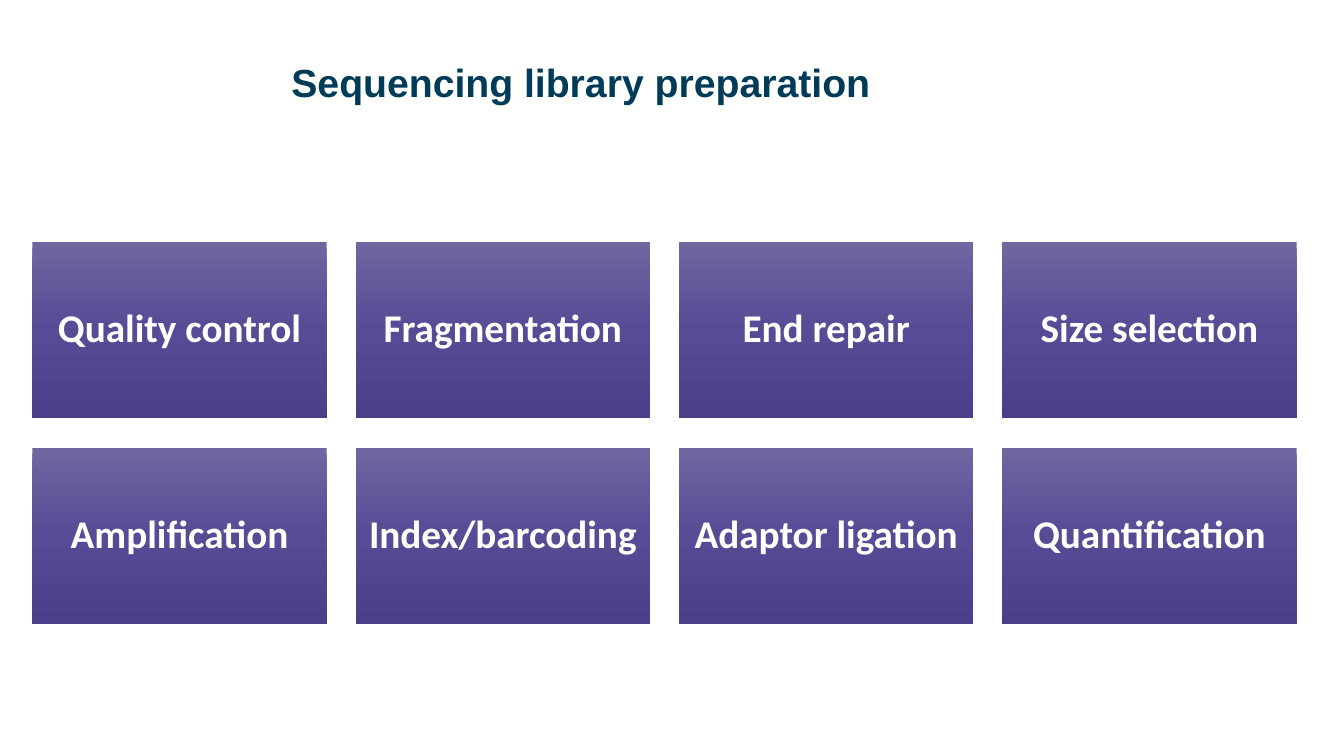
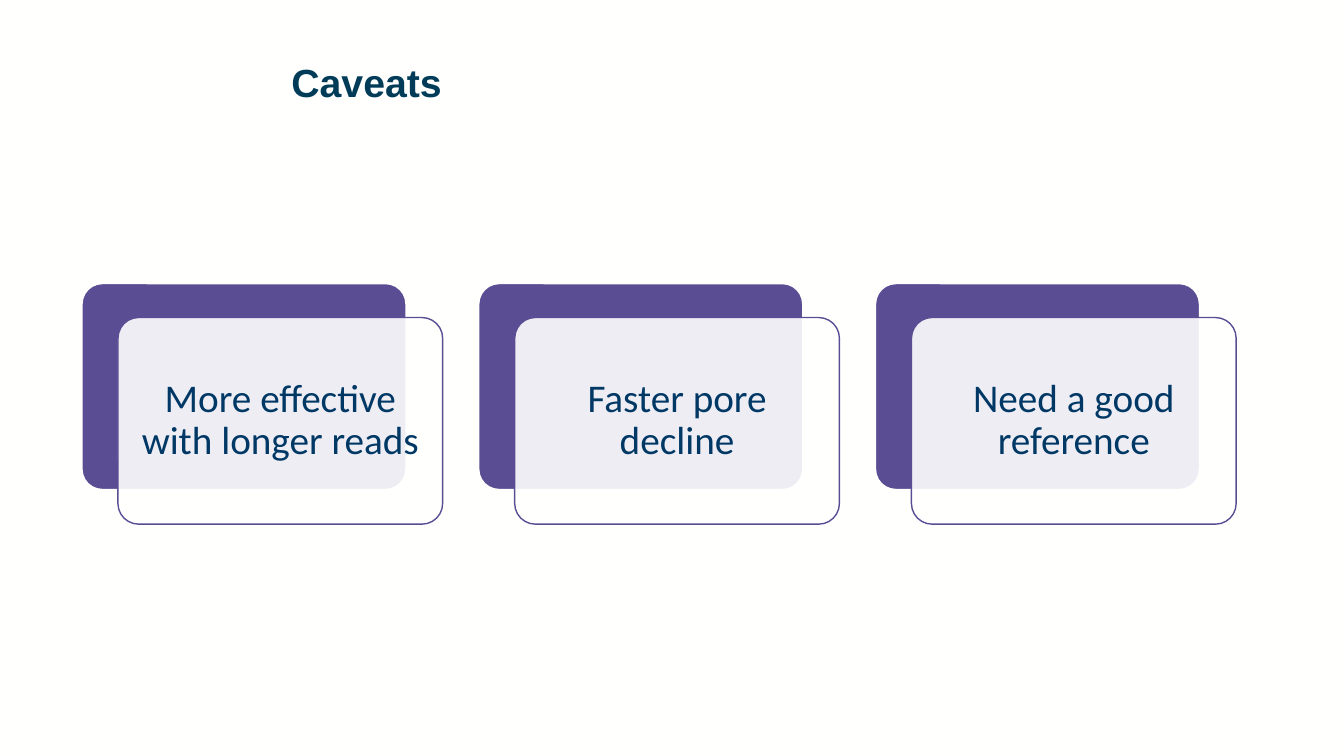
import copy
from dataclasses import dataclass
from typing import Any

import lxml.etree
import pptx
import pptx.dml.color
import pptx.enum.dml
import pptx.enum.shapes
import pptx.enum.text
import pptx.oxml.ns
import pptx.util

RGBColor = pptx.dml.color.RGBColor
Inches = pptx.util.Inches
Pt = pptx.util.Pt
Shape = pptx.enum.shapes.MSO_SHAPE
Anchor = pptx.enum.text.MSO_ANCHOR
Align = pptx.enum.text.PP_ALIGN
qn = pptx.oxml.ns.qn

IVORY = RGBColor(0xFF, 0xFF, 0xFE)
TITLE_NAVY = RGBColor(0x00, 0x3B, 0x58)
CARD_NAVY = RGBColor(0x00, 0x38, 0x65)
PURPLE = RGBColor(0x5B, 0x4D, 0x93)
TILE_STOPS = (
    (0, RGBColor(0x70, 0x66, 0xA0)),
    (0.5, RGBColor(0x59, 0x4A, 0x96)),
    (1, RGBColor(0x4D, 0x3E, 0x89)),
)

TITLE_FONT = {"name": "Arial", "size": Pt(28), "bold": True}
TILE_FONT = {"name": "Calibri", "size": Pt(28), "bold": True}
CARD_FONT = {"name": "Calibri", "size": Pt(28), "bold": False}
INSET = Inches(0.12)
LABEL_FRAME = {
    "word_wrap": True,
    "vertical_anchor": Anchor.MIDDLE,
    "margin_left": INSET,
    "margin_right": INSET,
    "margin_top": INSET,
    "margin_bottom": INSET,
}
TITLE_FRAME = {
    "word_wrap": True,
    "vertical_anchor": Anchor.TOP,
    "auto_size": pptx.enum.text.MSO_AUTO_SIZE.NONE,
}
TITLE_PLACE = {
    "left": Inches(2.79),
    "top": Inches(0.58),
    "width": Inches(10.07),
    "height": Inches(0.97),
}


@dataclass(frozen=True)
class Place:
    left: float
    top: float
    width: float
    height: float

    def shifted(self, across: float, down: float) -> "Place":
        return Place(self.left + across, self.top + down, self.width, self.height)


@dataclass(frozen=True)
class Grid:
    left: float
    top: float
    right: float
    columns: int
    cell_width: float
    cell_height: float
    row_gap: float = 0

    def cell(self, index: int) -> Place:
        row, column = divmod(index, self.columns)
        column_pitch = (self.right - self.left - self.cell_width) / (self.columns - 1)
        row_pitch = self.cell_height + self.row_gap
        return Place(
            self.left + column * column_pitch,
            self.top + row * row_pitch,
            self.cell_width,
            self.cell_height,
        )


STEP_GRID = Grid(0.32, 2.4, 12.86, 4, 2.92, 1.75, 0.29)
CAVEAT_GRID = Grid(0.81, 2.81, 11.9, 3, 3.22, 2.05)
CARD_SHIFT = (0.36, 0.34)
CARD_ROUNDING = 0.1

STEPS = (
    "Quality control",
    "Fragmentation",
    "End repair",
    "Size selection",
    "Amplification",
    "Index/barcoding",
    "Adaptor ligation",
    "Quantification",
)
CAVEATS = (
    "More effective with longer reads",
    "Faster pore decline",
    "Need a good reference",
)


def apply(target: Any, values: dict[str, Any]) -> None:
    for name, value in values.items():
        setattr(target, name, value)


def write(box: Any, text: str, frame: dict[str, Any], font: dict[str, Any],
          color: RGBColor, align: Any) -> None:
    apply(box.text_frame, frame)
    para = box.text_frame.paragraphs[0]
    apply(para, {"alignment": align, "line_spacing": 0.9})
    span = para.add_run()
    span.text = text
    apply(span.font, font)
    span.font.color.rgb = color


def add_page(deck: Any, title: str) -> Any:
    page = deck.slides.add_slide(deck.slide_layouts[5])
    box = page.shapes.title
    apply(box, TITLE_PLACE)
    write(box, title, TITLE_FRAME, TITLE_FONT, TITLE_NAVY, Align.LEFT)
    return page


def add_box(page: Any, kind: Any, place: Place) -> Any:
    box = page.shapes.add_shape(
        kind, Inches(place.left), Inches(place.top),
        Inches(place.width), Inches(place.height))
    box.shadow.inherit = False
    return box


def fill_gradient(box: Any) -> None:
    box.fill.gradient()
    box.fill.gradient_angle = 270
    stop_list = box.element.spPr.find(qn("a:gradFill")).find(qn("a:gsLst"))
    stop_list.append(copy.deepcopy(stop_list[0]))
    for stop, (position, color) in zip(box.fill.gradient_stops, TILE_STOPS):
        stop.position = position
        stop.color.rgb = color


def add_tile(page: Any, place: Place, label: str) -> None:
    box = add_box(page, Shape.RECTANGLE, place)
    fill_gradient(box)
    box.line.fill.background()
    write(box, label, LABEL_FRAME, TILE_FONT, IVORY, Align.CENTER)


def add_panel(page: Any, place: Place, fill: RGBColor, line: RGBColor,
              line_width: float) -> Any:
    box = add_box(page, Shape.ROUNDED_RECTANGLE, place)
    box.adjustments[0] = CARD_ROUNDING
    box.fill.solid()
    box.fill.fore_color.rgb = fill
    box.line.color.rgb = line
    box.line.width = Pt(line_width)
    return box


def add_card(page: Any, place: Place, label: str) -> None:
    add_panel(page, place, PURPLE, IVORY, 1.5)
    front = add_panel(page, place.shifted(*CARD_SHIFT), IVORY, PURPLE, 1)
    color = front.element.spPr.find(qn("a:solidFill"))[0]
    lxml.etree.SubElement(color, qn("a:alpha"), val="90000")
    write(front, label, LABEL_FRAME, CARD_FONT, CARD_NAVY, Align.CENTER)


def main() -> None:
    deck = pptx.Presentation()
    apply(deck, {"slide_width": Inches(13.33), "slide_height": Inches(7.5)})
    background = deck.slide_master.background.fill
    background.solid()
    background.fore_color.rgb = IVORY
    for title, grid, labels, draw in (
        ("Sequencing library preparation", STEP_GRID, STEPS, add_tile),
        ("Caveats", CAVEAT_GRID, CAVEATS, add_card),
    ):
        page = add_page(deck, title)
        for index, label in enumerate(labels):
            draw(page, grid.cell(index), label)
    deck.save("out.pptx")


if __name__ == "__main__":
    main()
